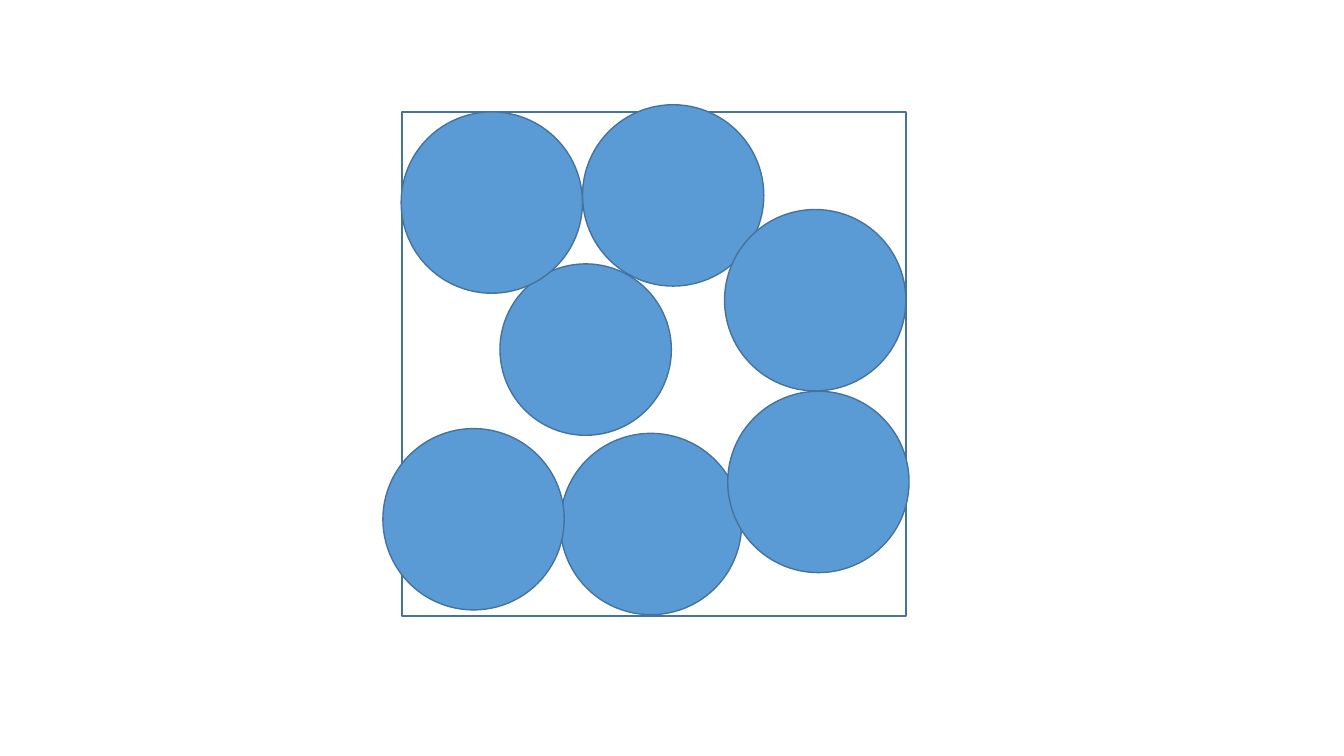
from pptx import Presentation
from pptx.dml.color import RGBColor
from pptx.enum.shapes import MSO_SHAPE
from pptx.util import Cm, Pt

RECTANGLE = MSO_SHAPE.RECTANGLE
OVAL = MSO_SHAPE.OVAL

COLOURS = {"square": "FFFFFF", "circle": "5B9BD5", "outline": "43739E"}
SQUARE_SIDE = 12.7
SMALL, LARGE = 4.32, 4.57  # circle diameters in cm

deck = Presentation()
deck.slide_width, deck.slide_height = Cm(33.87), Cm(19.05)
page = deck.slides.add_slide(deck.slide_layouts[6])


def add_outlined(kind, left, top, size, fill):
    shape = page.shapes.add_shape(kind, Cm(left), Cm(top), Cm(size), Cm(size))
    shape.shadow.inherit = False
    shape.fill.solid()
    shape.fill.fore_color.rgb = RGBColor.from_string(COLOURS[fill])
    shape.line.color.rgb = RGBColor.from_string(COLOURS["outline"])
    shape.line.width = Pt(1)


# Enclosing square
add_outlined(RECTANGLE, 10.13, 2.82, SQUARE_SIDE, "square")

# Packed circles from back to front: left, top, diameter
circles = [
    (12.6, 6.65, SMALL),
    (10.11, 2.82, LARGE),
    (14.12, 10.92, LARGE),
    (14.68, 2.64, LARGE),
    (18.34, 9.86, LARGE),
    (18.26, 5.28, LARGE),
    (9.65, 10.8, LARGE),
]
for left, top, diameter in circles:
    add_outlined(OVAL, left, top, diameter, "circle")

deck.save("out.pptx")
